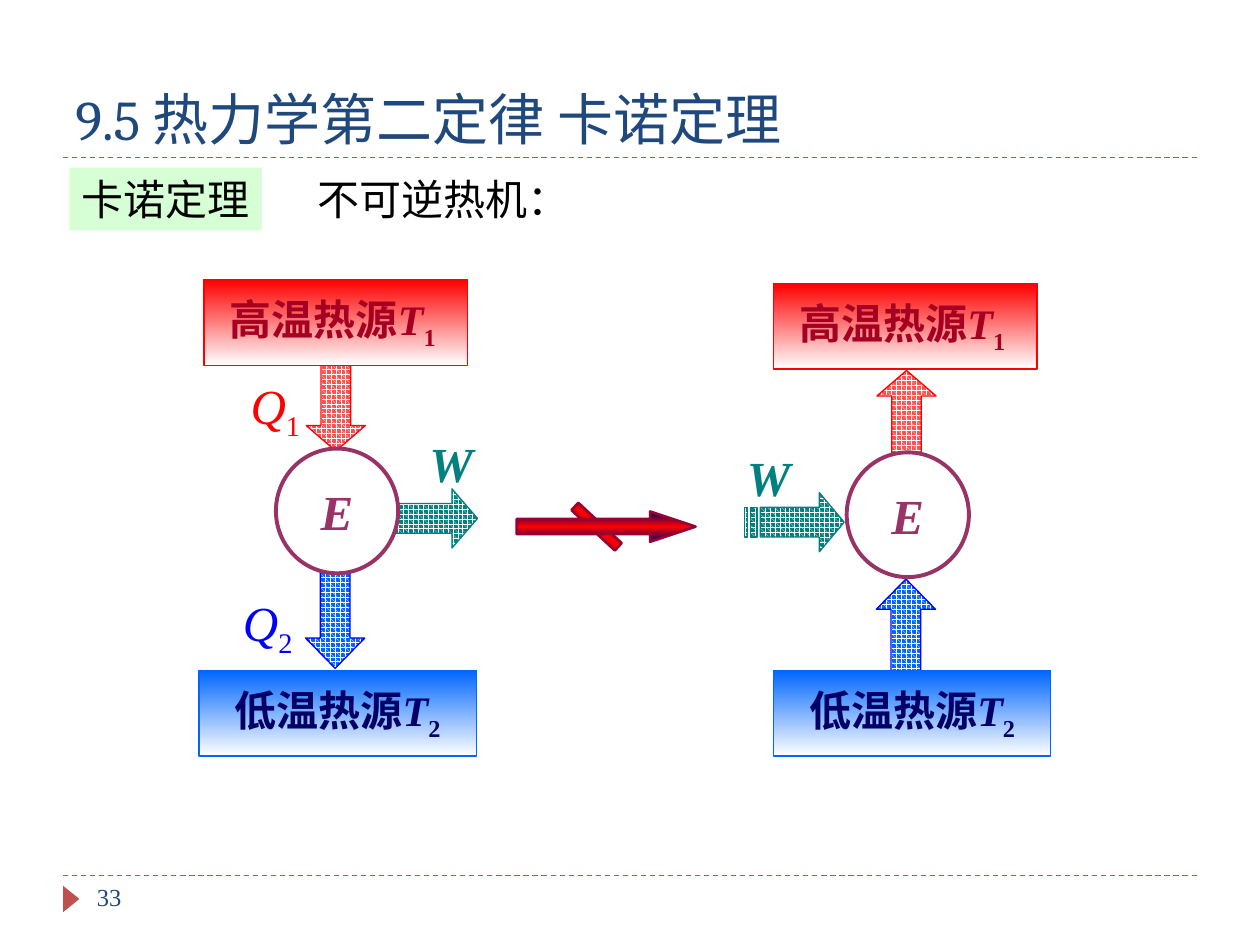
import copy
import pptx
import pptx.dml.color
import pptx.enum.dml
import pptx.enum.lang
import pptx.enum.shapes
import pptx.enum.text
import pptx.oxml
import pptx.oxml.ns
import pptx.util

SHAPE = pptx.enum.shapes.MSO_SHAPE
ANCHOR = pptx.enum.text.MSO_ANCHOR
ALIGN = pptx.enum.text.PP_ALIGN
COLS = 100  # square grid: 100 columns by 75 rows

THEME = {
    "title_font": "Cambria", "font": "Times New Roman",
    "title_pt": 32, "symbol_pt": 28, "body_pt": 24, "page_pt": 14,
    "navy": "1F497D", "accent": "C0504D", "black": "000000", "white": "FFFFFF",
    "tag": "CCFFCC", "teal": "008080", "purple": "993366",
    "hot": "FF0000", "hot_arrow": "FF5050", "hot_text": "A50021",
    "cold": "0066FF", "cold_line": "0000FF", "cold_text": "000066",
    "bar_edge": "000066", "bar_line": "990033",
}

# Content: a run is (text, style), style "i" italic or "sub" subscript
TITLE = [("9.5 热力学第二定律 卡诺定理", "")]
TAG = [("卡诺定理", "")]
SUBTITLE = [("不可逆热机：", "")]
PAGE = [("33", "")]
HOT = [("高温热源", ""), ("T", "i"), ("1 ", "sub")]
COLD = [("低温热源", ""), ("T", "i"), ("2", "sub")]

# Arrow styles: pattern colour, line colour
ARROW_INK = {"heat in": ("hot_arrow", "hot"),
             "heat out": ("cold", "cold_line"),
             "work": ("teal", "teal")}
ARROW_WIDTH = 4.7

# Each engine; arrows are (kind, centre column, centre row, length, rotation)
ENGINES = [
    {"hot": (16.2, 22.2), "cold": (15.8, 53.2), "circle": (21.9, 35.6),
     "arrows": [("work", 33.85, 41.15, 8.1, 0),
                ("heat in", 26.65, 31.75, 8.1, 90),
                ("heat out", 26.6, 48.25, 9.6, 90)],
     "labels": [([("W", "i")], 33.1, 33.9, 5.5, "teal", True),
                ([("Q", "i"), ("2", "sub")], 18.3, 46.5, 6.1, "cold_line", False),
                ([("Q", "i"), ("1", "sub")], 18.9, 29.3, 6.1, "hot", False)]},
    {"hot": (61.4, 22.5), "cold": (61.4, 53.2), "circle": (67.2, 35.9),
     "arrows": [("work", 63.05, 41.45, 7.9, 0),
                ("heat in", 71.95, 33.45, 8.1, 270),
                ("heat out", 71.9, 50.75, 9.6, 270)],
     "labels": [([("W", "i")], 58.3, 35, 5.5, "teal", True)]},
]

prs = pptx.Presentation()
prs.slide_width, prs.slide_height = pptx.util.Inches(10), pptx.util.Inches(7.5)
slide = prs.slides.add_slide(prs.slide_layouts[6])
shapes = slide.shapes


def grid(*values):
    return [round(v * prs.slide_width / COLS) for v in values]


def rgb(name):
    return pptx.dml.color.RGBColor.from_string(THEME[name])


def write(sp, runs, size="body_pt", color="black", font="font", bold=False,
          align=ALIGN.LEFT, anchor=ANCHOR.TOP, wrap=False):
    tf = sp.text_frame
    tf.word_wrap, tf.vertical_anchor = wrap, anchor
    p = tf.paragraphs[0]
    p.alignment = align
    for text, style in runs:
        r = p.add_run()
        r.text = text
        r.font.name, r.font.size = THEME[font], pptx.util.Pt(THEME[size])
        r.font.bold, r.font.italic = bold, style == "i"
        r.font.color.rgb = rgb(color)
        r.font.language_id = pptx.enum.lang.MSO_LANGUAGE_ID.SIMPLIFIED_CHINESE
        if style == "sub":
            r._r.get_or_add_rPr().set("baseline", "-25000")


def add_text(box, runs, **fmt):
    write(shapes.add_textbox(*grid(*box)), runs, **fmt)


def outline(sp, color, width):
    sp.shadow.inherit = False
    if color:
        sp.line.color.rgb, sp.line.width = rgb(color), pptx.util.Pt(width)
    else:
        sp.line.fill.background()


def add_shape(kind, box, colors, line=None, width=0.75, rotation=0):
    """One colour gives a solid fill, several an even top-down gradient."""
    sp = shapes.add_shape(kind, *grid(*box))
    sp.rotation = rotation
    outline(sp, line, width)
    if len(colors) == 1:
        sp.fill.solid()
        sp.fill.fore_color.rgb = rgb(colors[0])
        return sp
    sp.fill.gradient()
    sp.fill.gradient_angle = 270
    stops = sp._element.spPr.find(".//" + pptx.oxml.ns.qn("a:gsLst"))
    while len(stops) < len(colors):
        stops.append(copy.deepcopy(stops[0]))
    for i, (stop, color) in enumerate(zip(sp.fill.gradient_stops, colors)):
        stop.color.rgb = rgb(color)
        stop.position = i / (len(colors) - 1)
    return sp


def add_striped_arrow(kind, cx, cy, length, rotation):
    def at(x, y):
        return tuple(grid(cx + (x - 0.5) * length, cy + (y - 0.5) * ARROW_WIDTH))

    def bar(a, b):
        return [(a, .25), (b, .25), (b, .75), (a, .75)]

    head = [(.75, 0), (.75, .25), (5 / 32, .25), (5 / 32, .75), (.75, .75),
            (.75, 1), (1, .5)]
    fb = shapes.build_freeform(*at(*head[0]))
    fb.add_line_segments([at(*pt) for pt in head[1:]])
    for stripe in (bar(2 / 32, 4 / 32), bar(0, 1 / 32)):
        fb.move_to(*at(*stripe[0]))
        fb.add_line_segments([at(*pt) for pt in stripe[1:]])
    sp = fb.convert_to_shape()
    sp.rotation = rotation
    fill, line = ARROW_INK[kind]
    sp.fill.patterned()
    sp.fill.pattern = pptx.enum.dml.MSO_PATTERN.SPHERE
    sp.fill.fore_color.rgb, sp.fill.back_color.rgb = rgb("white"), rgb(fill)
    outline(sp, line, 0.75)


# Rules, page marker and headings
for row in (69.5, 12.5):
    rule = shapes.add_connector(pptx.enum.shapes.MSO_CONNECTOR.STRAIGHT,
                                *grid(5, row, 95, row))
    rule.line.color.rgb, rule.line.width = rgb("accent"), pptx.util.Pt(0.75)
    rule.line.dash_style = pptx.enum.dml.MSO_LINE.DASH
    rule._element.spPr.append(pptx.oxml.parse_xml(
        "<a:effectLst %s/>" % pptx.oxml.ns.nsdecls("a")))
add_shape(SHAPE.ISOSCELES_TRIANGLE, (4.6, 70.7, 2.1, 1.3), ["accent"], rotation=90)
add_text((5, 2.5, 90, 10), TITLE, size="title_pt", color="navy",
         font="title_font", anchor=ANCHOR.BOTTOM, wrap=True)
add_text((6.7, 69.5, 21.7, 4), PAGE, size="page_pt", color="navy", wrap=True)

tag = add_shape(SHAPE.RECTANGLE, (5.5, 13.3, 15.3, 5), ["tag"])
tag_color = tag._element.spPr.find(".//" + pptx.oxml.ns.qn("a:srgbClr"))
tag_color.append(pptx.oxml.parse_xml(
    '<a:alpha %s val="80000"/>' % pptx.oxml.ns.nsdecls("a")))
write(tag, TAG, anchor=ANCHOR.MIDDLE)
add_text((24.2, 13.3, 25, 5), SUBTITLE, wrap=True)

# Crossed-out arrow between the engines
metal = ["bar_edge", "hot", "bar_edge"]
add_shape(SHAPE.RECTANGLE, (45, 41.4, 4.7, 0.8), metal, "bar_line", 1.5, 42.9)
bar_arrow = add_shape(SHAPE.RIGHT_ARROW, (41, 40.6, 14.2, 2.4), metal, "bar_line", 1.5)
bar_arrow.adjustments[1] = 1.5

# Heat engines: arrows first, then the bodies that cover their tails
middle = {"align": ALIGN.CENTER, "anchor": ANCHOR.MIDDLE, "bold": True}
for engine in ENGINES:
    for arrow in engine["arrows"]:
        add_striped_arrow(*arrow)
    for runs, x, y, w, color, bold in engine["labels"]:
        add_text((x, y, w, 5.7), runs, size="symbol_pt", color=color, bold=bold)
    circle = add_shape(SHAPE.OVAL, (*engine["circle"], 9.7, 9.9), ["white"],
                       "purple", 2.25)
    write(circle, [("E", "i")], size="symbol_pt", color="purple", **middle)
    for name, width, runs in (("hot", 20.9, HOT), ("cold", 22, COLD)):
        source = add_shape(SHAPE.RECTANGLE, (*engine[name], width, 6.8),
                           [name, "white"], name)
        write(source, runs, color=name + "_text", **middle)

prs.save("out.pptx")
